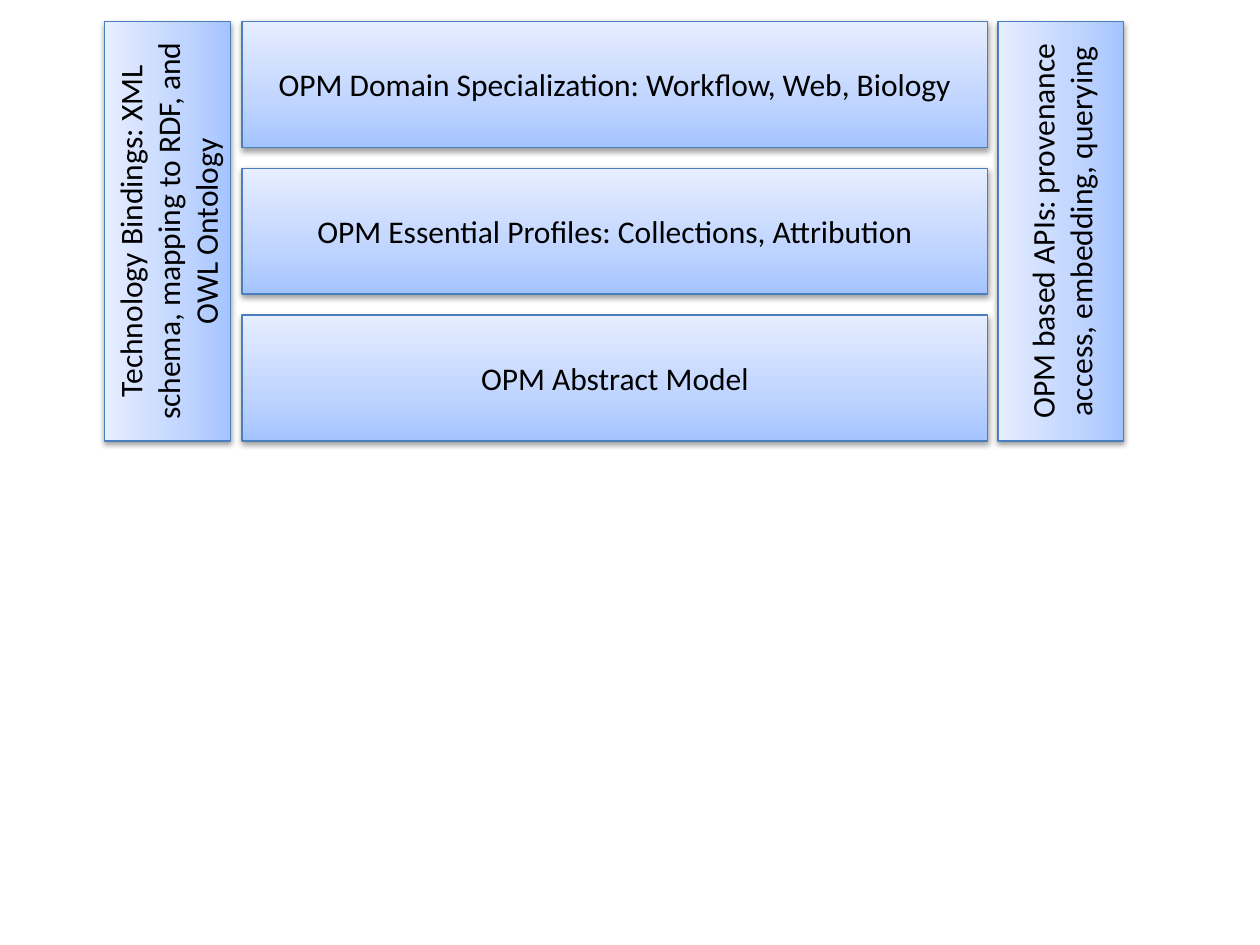
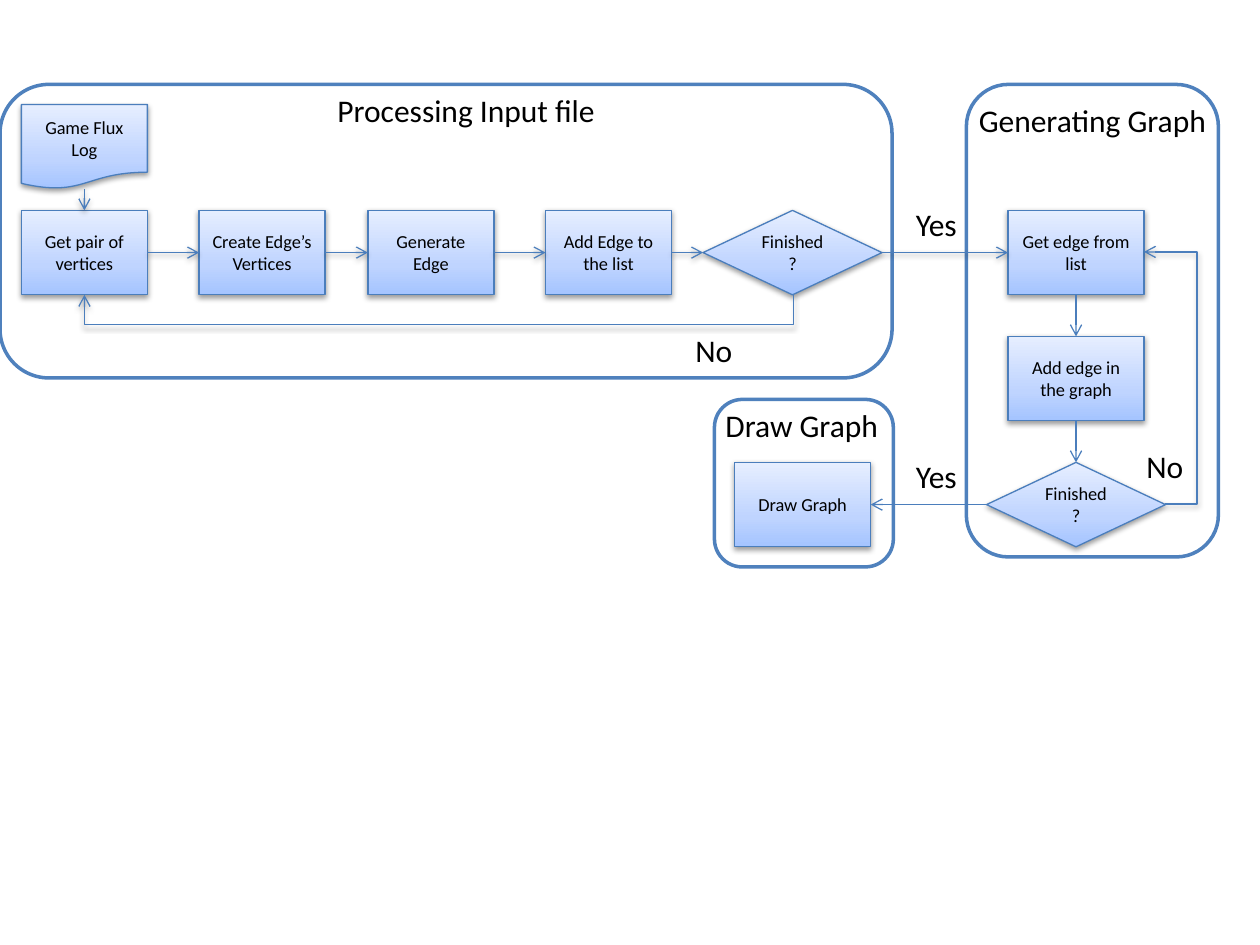
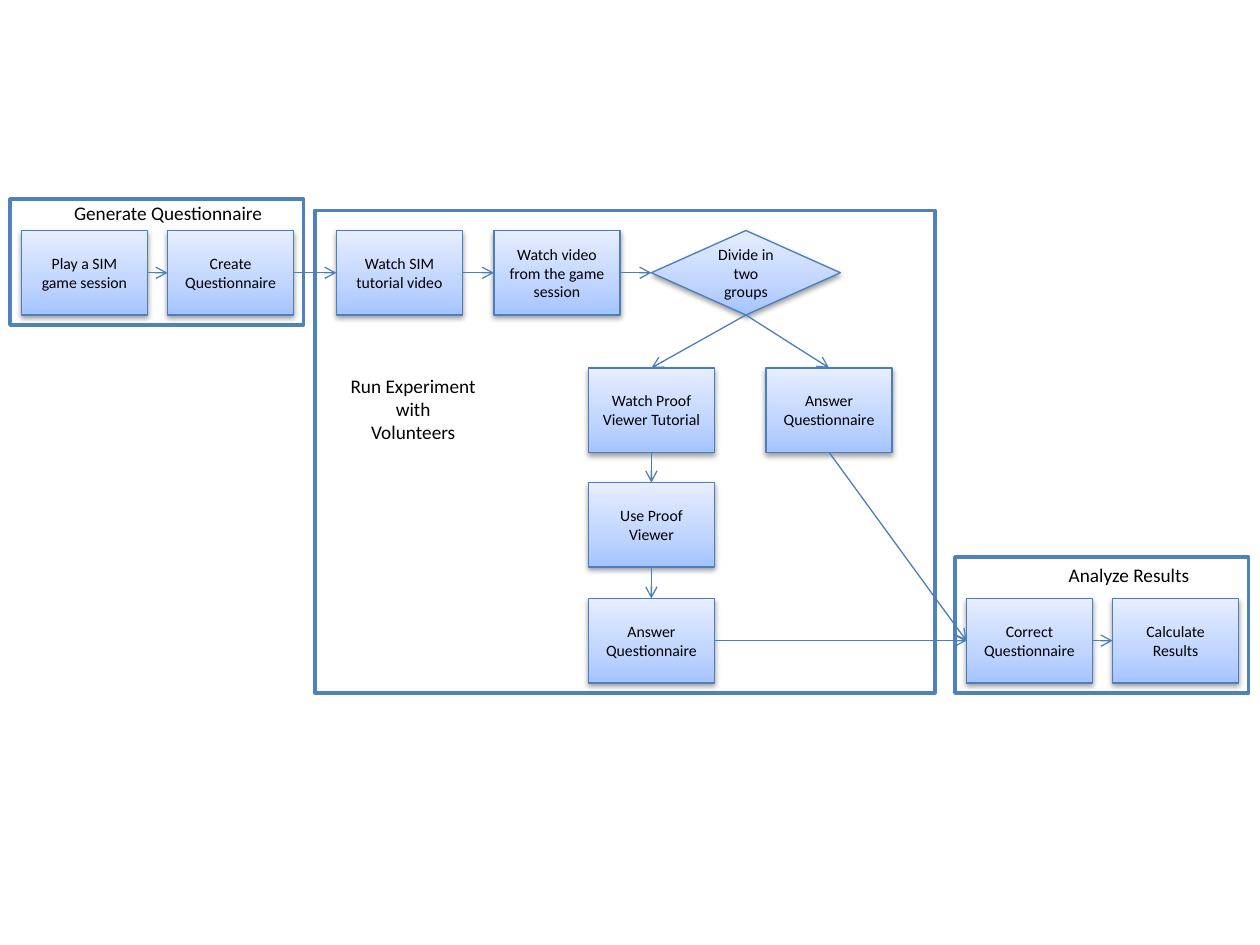
import pptx
import pptx.util
import pptx.dml.color
import pptx.enum.shapes
import pptx.enum.text
import pptx.oxml
import pptx.oxml.ns

Inches = pptx.util.Inches
Pt = pptx.util.Pt
MSO = pptx.enum.shapes.MSO_SHAPE
CONN = pptx.enum.shapes.MSO_CONNECTOR
PP_ALIGN = pptx.enum.text.PP_ALIGN

# Shared style
FONT = "Calibri"
BLACK, WHITE = "000000", "FFFFFF"
EDGE, FRAME = "4B7EBC", "4F81BD"
GRADIENT = [(0, "A4C4FF"), (35, "BFD4FF"), (100, "E6EEFF")]
SITES = {"top": 0, "left": 1, "bottom": 2, "right": 3}
NODE_H = 0.67
BOX, CHOICE, DOC = MSO.FLOWCHART_PROCESS, MSO.FLOWCHART_DECISION, MSO.FLOWCHART_DOCUMENT

# Slide 1: layers between two upright bars
LAYERS = ["OPM Domain Specialization: Workflow, Web, Biology",
          "OPM Essential Profiles: Collections, Attribution",
          "OPM Abstract Model"]
LAYER_X, LAYER_Y, LAYER_W, LAYER_H, LAYER_STEP = 1.92, 0.17, 5.92, 1, 1.165
BARS = [(0.83, "Technology Bindings: XML schema, mapping to RDF, and OWL Ontology"),
        (7.92, "OPM based APIs: provenance access, embedding, querying")]

# Slides 2 and 3: flow charts
# frames: x, y, w, h; nodes: shape, text, x, y, w
# links: from, side, to, side, shadow; labels: lines, x, y, w, h, wrap
GRAPH = {
    "frame_shape": MSO.ROUNDED_RECTANGLE,
    "size": 10.5, "label_size": 18, "label_align": PP_ALIGN.LEFT,
    "frames": [(5.67, 3.17, 1.42, 1.33), (7.67, 0.67, 2, 3.75), (0, 0.67, 7.08, 2.33)],
    "nodes": {
        "log": (DOC, "Game Flux Log", 0.17, 0.83, 1),
        "pair": (BOX, "Get pair of vertices", 0.17, 1.67, 1),
        "vertices": (BOX, "Create Edge’s Vertices", 1.58, 1.67, 1),
        "edge": (BOX, "Generate Edge", 2.92, 1.67, 1),
        "list": (BOX, "Add Edge to the list", 4.33, 1.67, 1),
        "read": (CHOICE, "Finished?", 5.58, 1.67, 1.42),
        "get": (BOX, "Get edge from list", 8, 1.67, 1.08),
        "add": (BOX, "Add edge in the graph", 8, 2.67, 1.08),
        "built": (CHOICE, "Finished?", 7.83, 3.67, 1.42),
        "draw": (BOX, "Draw Graph", 5.83, 3.67, 1.08),
    },
    "links": [
        ("log", "bottom", "pair", "top", True),
        ("pair", "right", "vertices", "left", True),
        ("vertices", "right", "edge", "left", True),
        ("edge", "right", "list", "left", True),
        ("list", "right", "read", "left", True),
        ("read", "right", "get", "left", True),
        ("get", "bottom", "add", "top", False),
        ("add", "bottom", "built", "top", False),
        ("built", "left", "draw", "right", False),
    ],
    "labels": [
        (["No"], 5.42, 2.58, 0.5, 0.4, False),
        (["Yes"], 7.17, 1.58, 0.53, 0.4, False),
        (["Yes"], 7.17, 3.58, 0.53, 0.4, False),
        (["No"], 9, 3.5, 0.5, 0.4, False),
        (["Processing Input file"], 2.58, 0.67, 2.27, 0.4, False),
        (["Generating Graph"], 7.67, 0.75, 2.03, 0.4, False),
        (["Draw Graph"], 5.66, 3.17, 1.43, 0.4, False),
    ],
}
# Return loops: start, end, how far the bend lies beyond the start, leaves downwards
LOOPS = [((6.3, 2.33), (0.67, 2.34), 0.25, True),
         ((9.25, 4), (9.08, 2), 0.25, False)]

EXPERIMENT = {
    "frame_shape": MSO.RECTANGLE,
    "size": 9, "label_size": 11, "label_align": PP_ALIGN.CENTER,
    "frames": [(7.58, 4.42, 2.33, 1.08), (2.5, 1.67, 4.92, 3.83), (0.08, 1.58, 2.33, 1)],
    "nodes": {
        "play": (BOX, "Play a SIM game session", 0.17, 1.83, 1),
        "create": (BOX, "Create Questionnaire", 1.33, 1.83, 1),
        "tutorial": (BOX, "Watch SIM tutorial video", 2.67, 1.83, 1),
        "video": (BOX, "Watch video from the game session", 3.92, 1.83, 1),
        "divide": (CHOICE, "Divide in two groups", 5.17, 1.83, 1.5),
        "answer": (BOX, "Answer Questionnaire", 6.08, 2.92, 1),
        "viewer tutorial": (BOX, "Watch Proof Viewer Tutorial", 4.67, 2.92, 1),
        "viewer": (BOX, "Use Proof Viewer", 4.67, 3.83, 1),
        "viewer answer": (BOX, "Answer Questionnaire", 4.67, 4.75, 1),
        "correct": (BOX, "Correct Questionnaire", 7.67, 4.75, 1),
        "results": (BOX, "Calculate Results", 8.83, 4.75, 1),
    },
    "links": [
        ("play", "right", "create", "left", False),
        ("create", "right", "tutorial", "left", False),
        ("tutorial", "right", "video", "left", False),
        ("video", "right", "divide", "left", False),
        ("divide", "bottom", "answer", "top", False),
        ("divide", "bottom", "viewer tutorial", "top", False),
        ("viewer tutorial", "bottom", "viewer", "top", False),
        ("viewer", "bottom", "viewer answer", "top", False),
        ("answer", "bottom", "correct", "left", False),
        ("viewer answer", "right", "correct", "left", False),
        ("correct", "right", "results", "left", False),
    ],
    "labels": [
        (["Generate Questionnaire"], 0.42, 1.55, 1.83, 0.29, True),
        (["Run Experiment", "with", "Volunteers"], 2.66, 2.92, 1.24, 0.66, False),
        (["Analyze Results"], 8.17, 4.42, 1.58, 0.29, True),
    ],
}


def color(value):
    return pptx.dml.color.RGBColor.from_string(value)


def xml(text):
    return pptx.oxml.parse_xml(text.replace(">", " %s>" % pptx.oxml.ns.nsdecls("a"), 1))


def effects(spPr, shadow):
    """Append the soft shadow, or an empty effect list."""
    shade = ('<a:outerShdw blurRad="40000" dist="20000" dir="5400000" rotWithShape="0">'
             '<a:srgbClr val="%s"><a:alpha val="38000"/></a:srgbClr></a:outerShdw>' % BLACK)
    spPr.append(xml("<a:effectLst>%s</a:effectLst>" % (shade if shadow else "")))


def write(tf, lines, size, align):
    for i, line in enumerate(lines):
        p = tf.add_paragraph() if i else tf.paragraphs[0]
        p.text = line
        p.alignment = align
        for r in p.runs:
            r.font.name, r.font.size = FONT, Pt(size)
            r.font.color.rgb = color(BLACK)


def outline(line, value, width):
    line.color.rgb = color(value)
    line.width = Pt(width)


def add_node(s, kind, text, x, y, w, h, size):
    sp = s.shapes.add_shape(kind, Inches(x), Inches(y), Inches(w), Inches(h))
    stops = "".join('<a:gs pos="%d"><a:srgbClr val="%s"/></a:gs>' % (pos * 1000, c)
                    for pos, c in GRADIENT)
    spPr = sp._element.spPr
    spPr.append(xml('<a:gradFill rotWithShape="1"><a:gsLst>%s</a:gsLst>'
                    '<a:lin ang="16200000" scaled="0"/></a:gradFill>' % stops))
    outline(sp.line, EDGE, 0.75)
    effects(spPr, True)
    sp.text_frame.word_wrap = True
    sp.text_frame.vertical_anchor = pptx.enum.text.MSO_ANCHOR.MIDDLE
    write(sp.text_frame, [text], size, PP_ALIGN.CENTER)
    return sp


def add_frame(s, kind, x, y, w, h):
    sp = s.shapes.add_shape(kind, Inches(x), Inches(y), Inches(w), Inches(h))
    sp.shadow.inherit = False
    sp.fill.solid()
    sp.fill.fore_color.rgb = color(WHITE)
    outline(sp.line, FRAME, 2)


def add_label(s, lines, x, y, w, h, wrap, size, align):
    tf = s.shapes.add_textbox(Inches(x), Inches(y), Inches(w), Inches(h)).text_frame
    tf.word_wrap = wrap
    tf.auto_size = pptx.enum.text.MSO_AUTO_SIZE.SHAPE_TO_FIT_TEXT
    write(tf, lines, size, align)


def add_arrow(s, kind, start, end, shadow):
    c = s.shapes.add_connector(kind, *[Inches(v) for v in start + end])
    outline(c.line, EDGE, 0.75)
    c.line._ln.append(xml('<a:tailEnd type="arrow"></a:tailEnd>'))
    effects(c._element.spPr, shadow)
    return c


def add_loop(s, start, end, reach, down):
    (x1, y1), (x2, y2) = start, end
    if down:  # a connector turned a quarter about its middle
        mx, my, dx, dy = (x1 + x2) / 2, (y1 + y2) / 2, (y2 - y1) / 2, (x1 - x2) / 2
        c = add_arrow(s, CONN.ELBOW, (mx - dx, my - dy), (mx + dx, my + dy), True)
        c._element.spPr.xfrm.set("rot", "5400000")
        ratio = reach / (y2 - y1)
    else:
        c = add_arrow(s, CONN.ELBOW, start, end, True)
        ratio = reach / (x2 - x1)
    geom = c._element.spPr.find(pptx.oxml.ns.qn("a:prstGeom"))
    for old in list(geom):
        geom.remove(old)
    geom.append(xml('<a:avLst><a:gd name="adj1" fmla="val %d"/></a:avLst>' % (ratio * 100000)))


def add_chart_flow(s, flow):
    for frame in flow["frames"]:
        add_frame(s, flow["frame_shape"], *frame)
    nodes = {name: add_node(s, *node, NODE_H, flow["size"])
             for name, node in flow["nodes"].items()}
    for a, side_a, b, side_b, shadow in flow["links"]:
        c = add_arrow(s, CONN.STRAIGHT, (0, 0), (1, 1), shadow)
        c.begin_connect(nodes[a], SITES[side_a])
        c.end_connect(nodes[b], SITES[side_b])
    for label in flow["labels"]:
        add_label(s, *label, flow["label_size"], flow["label_align"])


prs = pptx.Presentation()
prs.slide_width, prs.slide_height = Inches(10), Inches(7.5)
blank = prs.slide_layouts[6]

# Slide 1
s = prs.slides.add_slide(blank)
for i, text in enumerate(LAYERS):
    add_node(s, MSO.RECTANGLE, text, LAYER_X, LAYER_Y + i * LAYER_STEP, LAYER_W, LAYER_H, 18)
bar_len = LAYER_STEP * (len(LAYERS) - 1) + LAYER_H
for x, text in BARS:
    shift = (bar_len - LAYER_H) / 2
    add_node(s, MSO.RECTANGLE, text, x - shift, LAYER_Y + shift,
             bar_len, LAYER_H, 18).rotation = 270

# Slide 2
s = prs.slides.add_slide(blank)
add_chart_flow(s, GRAPH)
for loop in LOOPS:
    add_loop(s, *loop)

# Slide 3
add_chart_flow(prs.slides.add_slide(blank), EXPERIMENT)

prs.save("out.pptx")
